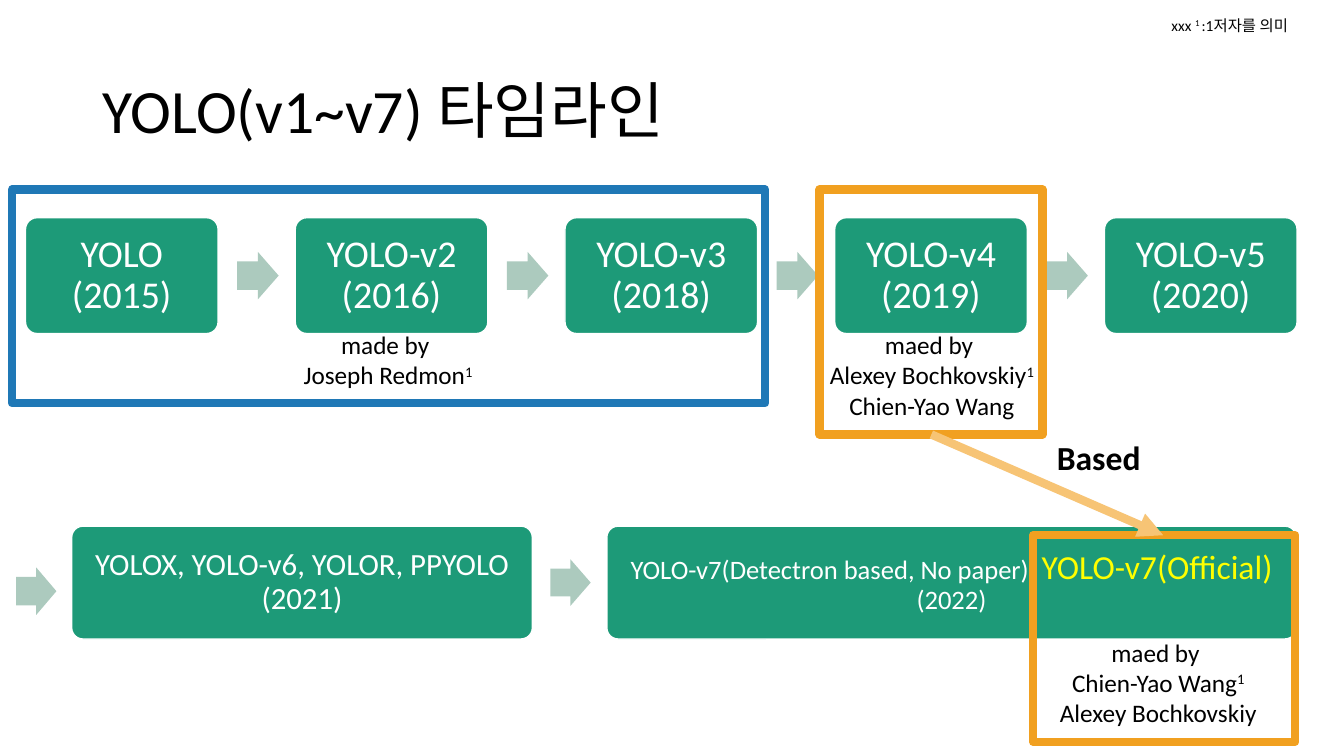
from dataclasses import dataclass

from lxml import etree
from pptx import Presentation
from pptx.dml.color import RGBColor
from pptx.enum.shapes import MSO_CONNECTOR, MSO_SHAPE
from pptx.enum.text import MSO_ANCHOR, PP_ALIGN
from pptx.oxml.ns import qn
from pptx.util import Inches, Pt

ROUNDED = MSO_SHAPE.ROUNDED_RECTANGLE
RECTANGLE = MSO_SHAPE.RECTANGLE
RIGHT_ARROW = MSO_SHAPE.RIGHT_ARROW
STRAIGHT = MSO_CONNECTOR.STRAIGHT
MIDDLE = MSO_ANCHOR.MIDDLE
TOP = MSO_ANCHOR.TOP
CENTER = PP_ALIGN.CENTER
LEFT = PP_ALIGN.LEFT

SLIDE_WIDTH = Inches(13.33)
SLIDE_HEIGHT = Inches(7.5)


@dataclass(frozen=True)
class Theme:
    font: str = "Calibri"
    black: str = "000000"
    white: str = "FFFFFF"
    yellow: str = "FFFF00"
    green: str = "1D9A78"
    pale_green: str = "ACCABE"
    blue: str = "1F78B6"
    orange: str = "F1A020"
    pale_orange: str = "F7C475"
    title: int = 44
    version: int = 27
    official: int = 24
    variants: int = 22
    detectron: int = 19
    caption: int = 18
    note: int = 11
    outline: int = 1
    frame: int = 6
    tight: float = 0.9


THEME = Theme()


@dataclass(frozen=True)
class Area:
    """Left, top, width and height as percentages of the slide."""

    left: float
    top: float
    width: float
    height: float

    def emu(self) -> tuple[int, int, int, int]:
        return (across(self.left), down(self.top), across(self.width), down(self.height))


@dataclass(frozen=True)
class Span:
    text: str
    size: int = THEME.caption
    color: str = THEME.black
    bold: bool = False
    raised: bool = False


Lines = list[list[Span]]


@dataclass(frozen=True)
class Node:
    area: Area
    spans: list[Span]
    inset: float


@dataclass(frozen=True)
class Frame:
    area: Area
    color: str


@dataclass(frozen=True)
class Label:
    area: Area
    lines: Lines
    align: int = CENTER
    anchor: int = TOP
    spacing: float = 1.0


def across(percent: float) -> int:
    return round(SLIDE_WIDTH * percent / 100)


def down(percent: float) -> int:
    return round(SLIDE_HEIGHT * percent / 100)


def write_span(paragraph, span: Span) -> None:
    for index, part in enumerate(span.text.split("\n")):
        if index:
            paragraph.add_line_break()
        if not part:
            continue
        run = paragraph.add_run()
        run.text = part
        run.font.name = THEME.font
        run.font.size = Pt(span.size)
        run.font.bold = span.bold
        run.font.color.rgb = RGBColor.from_string(span.color)
        if span.raised:
            run._r.get_or_add_rPr().set("baseline", "30000")


def write_lines(frame, lines: Lines, align: int, anchor: int, spacing: float) -> None:
    frame.word_wrap = True
    frame.vertical_anchor = anchor
    for index, spans in enumerate(lines):
        paragraph = frame.add_paragraph() if index else frame.paragraphs[0]
        paragraph.alignment = align
        paragraph.line_spacing = spacing
        for span in spans:
            write_span(paragraph, span)


def draw_shape(slide, kind: int, area: Area, fill: str = "", line: str = "", weight: int = 0):
    shape = slide.shapes.add_shape(kind, *area.emu())
    shape.shadow.inherit = False
    if fill:
        shape.fill.solid()
        shape.fill.fore_color.rgb = RGBColor.from_string(fill)
    else:
        shape.fill.background()
    if line:
        shape.line.color.rgb = RGBColor.from_string(line)
        shape.line.width = Pt(weight)
    else:
        shape.line.fill.background()
    return shape


def draw_node(slide, node: Node) -> None:
    shape = draw_shape(slide, ROUNDED, node.area, THEME.green, THEME.white, THEME.outline)
    shape.adjustments[0] = 0.1
    frame = shape.text_frame
    frame.margin_left = frame.margin_right = Inches(node.inset)
    frame.margin_top = frame.margin_bottom = Inches(node.inset)
    write_lines(frame, [node.spans], CENTER, MIDDLE, THEME.tight)


def draw_step(slide, area: Area) -> None:
    shape = draw_shape(slide, RIGHT_ARROW, area, THEME.pale_green)
    shape.adjustments[0] = 0.6
    shape.adjustments[1] = 0.5


def draw_label(slide, label: Label) -> None:
    box = slide.shapes.add_textbox(*label.area.emu())
    write_lines(box.text_frame, label.lines, label.align, label.anchor, label.spacing)


def draw_lineage(slide, start: tuple[float, float], end: tuple[float, float]) -> None:
    connector = slide.shapes.add_connector(
        STRAIGHT, across(start[0]), down(start[1]), across(end[0]), down(end[1]))
    connector.line.color.rgb = RGBColor.from_string(THEME.pale_orange)
    connector.line.width = Pt(THEME.frame)
    etree.SubElement(connector.line._get_or_add_ln(), qn("a:tailEnd"), type="triangle")
    etree.SubElement(connector._element.spPr, qn("a:effectLst"))


def credit(verb: str, author: str, *others: str) -> Lines:
    return [[Span(verb)], [Span(author), Span("1", raised=True)], *[[Span(name)] for name in others]]


VERSIONS = ["YOLO\n(2015)", "YOLO-v2\n(2016)", "YOLO-v3\n(2018)", "YOLO-v4\n(2019)", "YOLO-v5\n(2020)"]
FIRST_LEFT, PITCH, STEP_OFFSET = 1.9, 20.07, 15.75

NODES = [
    Node(Area(FIRST_LEFT + PITCH * column, 28.8, 14.33, 15.33),
         [Span(text, THEME.version, THEME.white)], 0.14)
    for column, text in enumerate(VERSIONS)
] + [
    Node(Area(5.33, 69.6, 34.28, 14.93),
         [Span("YOLOX, YOLO-v6, YOLOR, PPYOLO\n(2021)", THEME.variants, THEME.white)], 0.12),
    Node(Area(45.15, 69.6, 51.3, 14.93),
         [Span("YOLO-v7(Detectron based, No paper), ", THEME.detectron, THEME.white),
          Span("YOLO-v7(Official)\n", THEME.official, THEME.yellow),
          Span("(2022)", THEME.detectron, THEME.white)], 0.11),
]
STEPS = [
    Area(FIRST_LEFT + STEP_OFFSET + PITCH * column, 33.33, 3.08, 6.27)
    for column in range(len(VERSIONS) - 1)
] + [Area(1.2, 75.07, 3, 6.27), Area(40.95, 74, 3, 6.13)]
FRAMES = [
    Frame(Area(0.9, 25.07, 56.03, 28.27), THEME.blue),
    Frame(Area(60.98, 25.07, 16.58, 32.4), THEME.orange),
    Frame(Area(76.88, 70.8, 19.5, 27.33), THEME.orange),
]
LABELS = [
    Label(Area(6.9, 5.33, 86.25, 19.33), [[Span("YOLO(v1~v7) 타임라인", THEME.title)]],
          LEFT, MIDDLE, THEME.tight),
    Label(Area(10.35, 42.93, 37.05, 9.47), credit("made by ", "Joseph Redmon")),
    Label(Area(60.45, 42.93, 17.78, 13.47), credit("maed by ", "Alexey Bochkovskiy", "Chien-Yao Wang")),
    Label(Area(77.93, 83.6, 16.5, 13.47), credit("maed by ", "Chien-Yao Wang", "Alexey Bochkovskiy")),
    Label(Area(73.5, 57.07, 16.5, 6.67), [[Span("Based", THEME.official, bold=True)]]),
    Label(Area(83.03, 1.47, 16.95, 3.87),
          [[Span("xxx ", THEME.note), Span("1 ", THEME.note, raised=True),
            Span(":1저자를 의미", THEME.note)]]),
]


def main() -> None:
    presentation = Presentation()
    presentation.slide_width = SLIDE_WIDTH
    presentation.slide_height = SLIDE_HEIGHT
    slide = presentation.slides.add_slide(presentation.slide_layouts[6])
    for node in NODES:
        draw_node(slide, node)
    for step in STEPS:
        draw_step(slide, step)
    for frame in FRAMES:
        draw_shape(slide, RECTANGLE, frame.area, line=frame.color, weight=THEME.frame)
    draw_lineage(slide, (69.3, 57.47), (86.55, 70.8))
    for label in LABELS:
        draw_label(slide, label)
    presentation.save("out.pptx")


if __name__ == "__main__":
    main()
